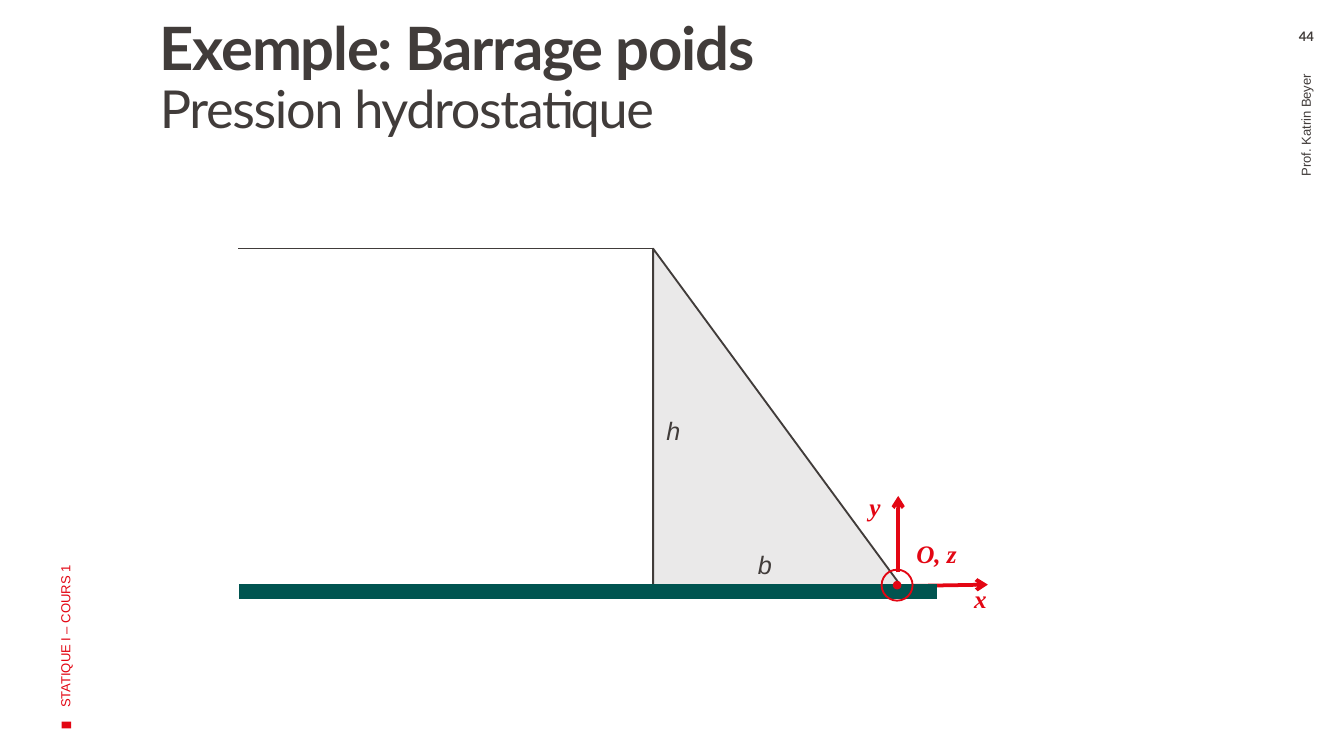
"""Build the slide on hydrostatic pressure against a gravity dam."""
import pptx
import pptx.util
import pptx.dml.color
import pptx.enum.shapes
import pptx.enum.text
import pptx.oxml.ns
import lxml.etree

Pt = pptx.util.Pt
Align = pptx.enum.text.PP_ALIGN
Anchor = pptx.enum.text.MSO_ANCHOR
Fit = pptx.enum.text.MSO_AUTO_SIZE
Kind = pptx.enum.shapes.MSO_SHAPE
RED, DARK, GREEN, GREY = "E30613", "413C3A", "005450", "EAE9E9"


def hue(code):
    return pptx.dml.color.RGBColor.from_string(code)


def write(box, text, size=7, face="Arial", tint=DARK, bold=False, slant=False,
          align=Align.LEFT, anchor=Anchor.TOP, pads=(7.2, 3.6, 7.2, 3.6),
          wrap=True, track=0):
    frame = box.text_frame
    frame.word_wrap = wrap
    frame.auto_size = Fit.NONE if wrap else Fit.SHAPE_TO_FIT_TEXT
    frame.vertical_anchor = anchor
    frame.margin_left, frame.margin_top, frame.margin_right, frame.margin_bottom = map(Pt, pads)
    line = frame.paragraphs[0]
    line.alignment = align
    run = line.add_run()
    run.text = text
    font = run.font
    font.size, font.name, font.bold, font.italic = Pt(size), face, bold, slant
    font.color.rgb = hue(tint)
    if track:
        run._r.get_or_add_rPr().set("spc", str(track))


deck = pptx.Presentation()
deck.slide_width, deck.slide_height = Pt(720), Pt(405)
slide = deck.slides.add_slide(deck.slide_layouts[5])
shapes = slide.shapes

title = shapes.title
title.left, title.top, title.width, title.height = Pt(71.3), Pt(10), Pt(552), Pt(84)
style = dict(face="Lato", pads=(14.4, 0, 5.8, 3.6), track=-70)
write(title, "Exemple: Barrage poids", size=32, bold=True, **style)
title.text_frame.paragraphs[0].add_line_break()
write(title, "Pression hydrostatique", size=28, **style)
title.text_frame.paragraphs[0].line_spacing = 0.9

side = dict(anchor=Anchor.MIDDLE)
notes = [
    ("STATIQUE I – COURS 1", -96.5, 218.9, 262.8, 72, 270, dict(side, tint=RED)),
    ("Prof. Katrin Beyer", 560.2, 147.6, 278.6, 40.3, 270,
     dict(side, align=Align.RIGHT, pads=(7.2, 3.6, 11.1, 3.6))),
    ("44", 679.7, 15.1, 40.3, 13, 0,
     dict(face="Lato", bold=True, align=Align.CENTER, pads=(7.2, 0, 7.2, 0))),
]
for text, left, top, wide, high, turn, form in notes:
    box = shapes.add_textbox(Pt(left), Pt(top), Pt(wide), Pt(high))
    box.rotation = turn
    write(box, text, **form)

heel, crest, base, toe = 349.9, 133.2, 313.5, 482.4
path = shapes.build_freeform(Pt(heel), Pt(crest), scale=1.0)
path.add_line_segments([(Pt(heel), Pt(base)), (Pt(toe), Pt(base))], close=True)
dam = path.convert_to_shape()
dam.shadow.inherit = False
dam.fill.solid()
dam.fill.fore_color.rgb = hue(GREY)
dam.line.color.rgb = hue(DARK)
dam.line.width = Pt(1)

lines = [
    (488.9, 313.9, 529.2, 313.2, RED, 2, True),
    (481.2, 306.7, 481.2, 265.7, RED, 2, True),
    (128.2, 316.8, 502, 316.8, GREEN, 8, False),
    (heel, crest, 127.3, crest, DARK, 0.5, False),
]
for left, top, right, low, tint, width, tip in lines:
    line = shapes.add_connector(pptx.enum.shapes.MSO_CONNECTOR.STRAIGHT,
                                Pt(left), Pt(top), Pt(right), Pt(low))
    line.line.color.rgb = hue(tint)
    line.line.width = Pt(width)
    if tip:
        edge = line.line._get_or_add_ln()
        lxml.etree.SubElement(edge, pptx.oxml.ns.qn("a:tailEnd"), type="arrow")
    lxml.etree.SubElement(line._element.spPr, pptx.oxml.ns.qn("a:effectLst"))

axis = dict(face="Times New Roman", tint=RED, bold=True)
labels = [
    ("x", 514.8, 308.9, 21.6, axis),
    ("y", 458.6, 259.9, 20.9, axis),
    ("O, z", 483.8, 285.1, 36.7, axis),
    ("h", heel, 218.9, 22.3, {}),
    ("b", 398.9, 290.9, 22.3, {}),
]
for text, left, top, wide, form in labels:
    box = shapes.add_textbox(Pt(left), Pt(top), Pt(wide), Pt(23.8))
    write(box, text, size=13.5, slant=True, wrap=False, **form)

marks = [
    (Kind.RECTANGLE, 35.6, 388.4, 3.6, 5, 270, True, False),
    (Kind.OVAL, 480.6, 313.5, 16.6, 16.6, 0, False, True),
    (Kind.OVAL, 480.6, 313.5, 3.6, 3.6, 0, True, True),
]
for kind, mid, level, wide, high, turn, full, rim in marks:
    mark = shapes.add_shape(kind, Pt(mid - wide / 2), Pt(level - high / 2), Pt(wide), Pt(high))
    mark.shadow.inherit = False
    mark.rotation = turn
    if full:
        mark.fill.solid()
        mark.fill.fore_color.rgb = hue(RED)
    else:
        mark.fill.background()
    if rim:
        mark.line.color.rgb = hue(RED)
        mark.line.width = Pt(1)
    else:
        mark.line.fill.background()

deck.save("out.pptx")
